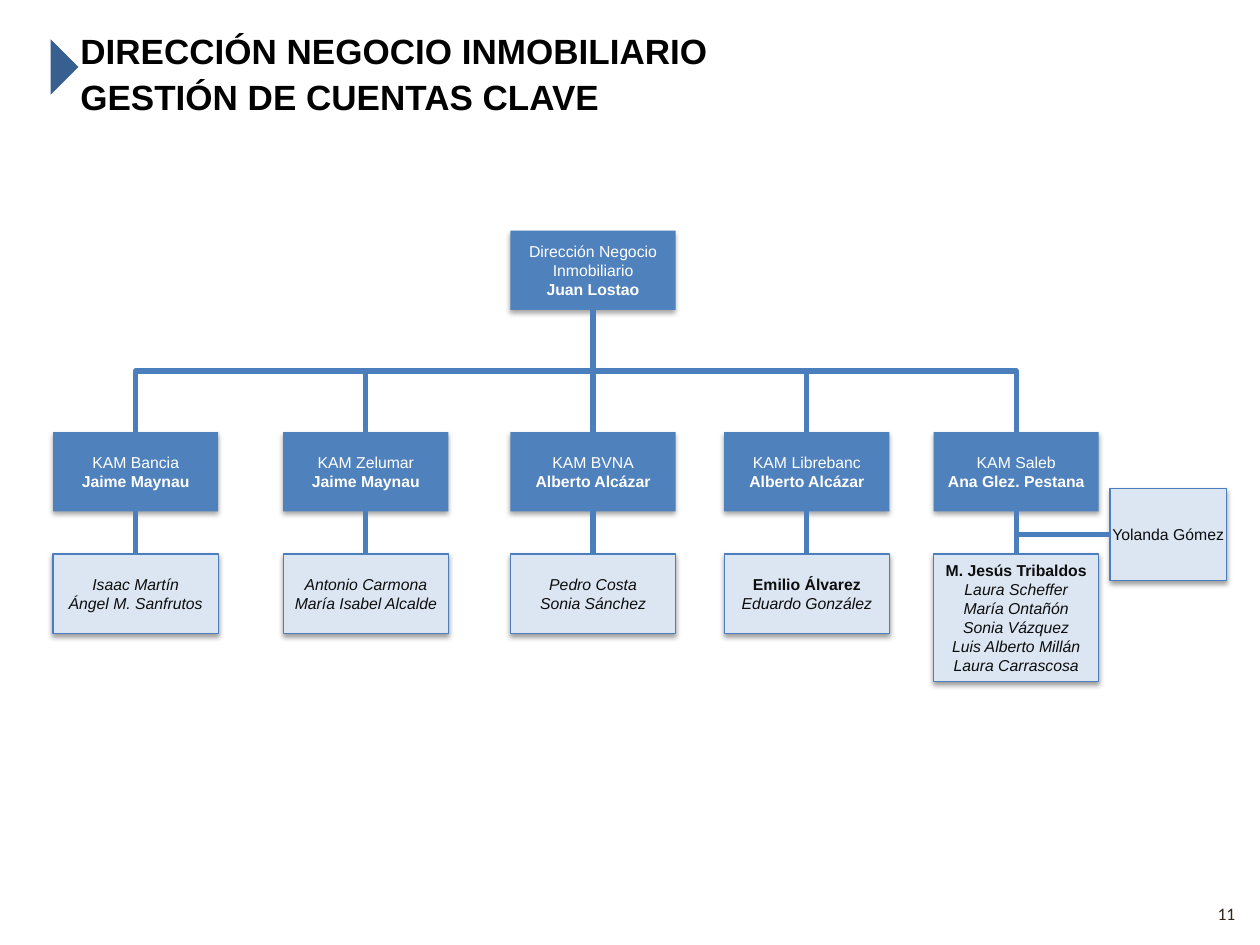
from lxml import etree
from pptx import Presentation
from pptx import util as u
from pptx.dml.color import RGBColor
from pptx.enum import shapes, text
from pptx.oxml import ns

BLUE = RGBColor(0x4F, 0x81, 0xBD)
LINE_BLUE = RGBColor(0x4B, 0x7E, 0xBC)
PALE_BLUE = RGBColor(0xDC, 0xE6, 0xF2)
DARK_BLUE = RGBColor(0x37, 0x60, 0x91)
WHITE = RGBColor(0xFF, 0xFF, 0xFF)
BLACK = RGBColor(0, 0, 0)
NEAR_BLACK = RGBColor(0x0D, 0x0D, 0x0D)
BROWN = RGBColor(0x35, 0x26, 0x1A)

BOX_WIDTH, BOX_HEIGHT = 3.33, 1.6
DIRECTOR_TOP, MANAGER_TOP, TEAM_TOP = 4.65, 8.71, 11.17
PLAIN, BOLD, ITALIC = "plain", "bold", "italic"

BRANCHES = [
    (1.07, "KAM Bancia", "Jaime Maynau", BOX_HEIGHT,
     [("Isaac Martín", ITALIC), ("Ángel M. Sanfrutos", ITALIC)]),
    (5.71, "KAM Zelumar", "Jaime Maynau", BOX_HEIGHT,
     [("Antonio Carmona", ITALIC), ("María Isabel Alcalde", ITALIC)]),
    (10.29, "KAM BVNA", "Alberto Alcázar", BOX_HEIGHT,
     [("Pedro Costa", ITALIC), ("Sonia Sánchez", ITALIC)]),
    (14.6, "KAM Librebanc", "Alberto Alcázar", BOX_HEIGHT,
     [("Emilio Álvarez", BOLD), ("Eduardo González", ITALIC)]),
    (18.82, "KAM Saleb", "Ana Glez. Pestana", 2.57,
     [("M. Jesús Tribaldos", BOLD), ("Laura Scheffer", ITALIC),
      ("María Ontañón", ITALIC), ("Sonia Vázquez", ITALIC),
      ("Luis Alberto Millán", ITALIC), ("Laura Carrascosa", ITALIC)]),
]


def add_run(paragraph, content, size, color, style=PLAIN, font="Arial"):
    """Add one formatted run to a paragraph."""
    run = paragraph.add_run()
    run.text = content
    run.font.name = font
    run.font.size = u.Pt(size)
    run.font.color.rgb = color
    run.font.bold = style == BOLD
    run.font.italic = style == ITALIC


def add_text_box(slide, left, top, width, height):
    """Add a wrapping, vertically centred text box and return its first paragraph."""
    shape = slide.shapes.add_textbox(u.Cm(left), u.Cm(top), u.Cm(width), u.Cm(height))
    frame = shape.text_frame
    frame.word_wrap = True
    frame.vertical_anchor = text.MSO_ANCHOR.MIDDLE
    return frame.paragraphs[0]


def add_shadow(shape, opacity):
    """Give a shape a soft shadow that falls straight down."""
    shape.shadow.inherit = False
    effects = shape._element.spPr.find(ns.qn("a:effectLst"))
    shadow = etree.SubElement(
        effects, ns.qn("a:outerShdw"), blurRad=str(u.Pt(3.1)),
        dist=str(u.Pt(1.7)), dir="5400000", rotWithShape="0")
    color = etree.SubElement(shadow, ns.qn("a:srgbClr"), val="000000")
    etree.SubElement(color, ns.qn("a:alpha"), val=str(opacity * 1000))


def add_box(slide, left, top, width, height, lines, leader=False):
    """Add a box of the chart holding one centred paragraph per line."""
    shape = slide.shapes.add_shape(
        shapes.MSO_SHAPE.RECTANGLE, u.Cm(left), u.Cm(top), u.Cm(width), u.Cm(height))
    shape.fill.solid()
    shape.fill.fore_color.rgb = BLUE if leader else PALE_BLUE
    if leader:
        shape.line.fill.background()
    else:
        shape.line.color.rgb = LINE_BLUE
        shape.line.width = u.Pt(0.75)
    add_shadow(shape, 35 if leader else 38)
    frame = shape.text_frame
    frame.word_wrap = True
    frame.vertical_anchor = text.MSO_ANCHOR.MIDDLE
    frame.margin_left = frame.margin_right = u.Cm(0.1 if leader else 0)
    for index, (content, style) in enumerate(lines):
        paragraph = frame.add_paragraph() if index else frame.paragraphs[0]
        paragraph.alignment = text.PP_ALIGN.CENTER
        add_run(paragraph, content, 9, WHITE if leader else NEAR_BLACK, style)
    return shape


def add_line(slide, kind, start_x, start_y, end_x, end_y):
    """Add a thick blue connector without a shadow."""
    connector = slide.shapes.add_connector(kind, start_x, start_y, end_x, end_y)
    connector.line.color.rgb = LINE_BLUE
    connector.line.width = u.Pt(3)
    etree.SubElement(connector._element.spPr, ns.qn("a:effectLst"))
    return connector


def join_down(slide, upper, lower):
    """Join the bottom of one box to the top of another, with an elbow if needed."""
    start_x, end_x = (box.left + box.width // 2 for box in (upper, lower))
    start_y, end_y = upper.top + upper.height, lower.top
    if start_x == end_x:
        connector = add_line(slide, shapes.MSO_CONNECTOR.STRAIGHT,
                             start_x, start_y, end_x, end_y)
        connector.begin_connect(upper, 2)
        connector.end_connect(lower, 0)
        return
    center_x, center_y = (start_x + end_x) // 2, (start_y + end_y) // 2
    half_drop, half_span = (end_y - start_y) // 2, abs(end_x - start_x) // 2
    side = 1 if end_x < start_x else -1
    connector = add_line(
        slide, shapes.MSO_CONNECTOR.ELBOW,
        center_x - side * half_drop, center_y - half_span,
        center_x + side * half_drop, center_y + half_span)
    connector._element.spPr.xfrm.set("rot", "5400000" if side > 0 else "16200000")


def add_heading(slide, left, top, width, height):
    """Add the arrow marker and the two-line title."""
    marker = slide.shapes.add_shape(
        shapes.MSO_SHAPE.ISOSCELES_TRIANGLE,
        u.Cm(left - 0.63), u.Cm(top + 0.66), u.Cm(1.12), u.Cm(0.56))
    marker.rotation = 90
    marker.shadow.inherit = False
    marker.fill.solid()
    marker.fill.fore_color.rgb = DARK_BLUE
    marker.line.fill.background()
    paragraph = add_text_box(slide, left, top, width, height)
    paragraph.line_spacing = 1.1
    add_run(paragraph, "DIRECCIÓN NEGOCIO INMOBILIARIO", 20, BLACK, BOLD)
    paragraph.add_line_break()
    add_run(paragraph, "GESTIÓN DE CUENTAS CLAVE", 20, BLACK, BOLD)


def add_branch(slide, director, left, account, manager_name, team_height, team_lines):
    """Add an account manager with the team below and return the manager box."""
    manager = add_box(slide, left, MANAGER_TOP, BOX_WIDTH, BOX_HEIGHT,
                      [(account, PLAIN), (manager_name, BOLD)], leader=True)
    team = add_box(slide, left, TEAM_TOP, BOX_WIDTH, team_height, team_lines)
    join_down(slide, director, manager)
    join_down(slide, manager, team)
    return manager


def add_assistant(slide, manager, left, top, width, height):
    """Add the side box and join it to the line below its manager."""
    assistant = add_box(slide, left, top, width, height, [("Yolanda Gómez", PLAIN)])
    middle = assistant.top + assistant.height // 2
    connector = add_line(slide, shapes.MSO_CONNECTOR.STRAIGHT,
                         manager.left + manager.width // 2, middle,
                         assistant.left, middle)
    connector.end_connect(assistant, 1)


def add_page_number(slide, left, top, width, height):
    """Add the page number at the right of its box."""
    paragraph = add_text_box(slide, left, top, width, height)
    paragraph.alignment = text.PP_ALIGN.RIGHT
    add_run(paragraph, "11", 10, BROWN, font="Calibri")


def main():
    """Build the organisation chart slide."""
    presentation = Presentation()
    presentation.slide_width, presentation.slide_height = u.Cm(25.4), u.Cm(19.05)
    slide = presentation.slides.add_slide(presentation.slide_layouts[6])
    add_heading(slide, 1.37, 0.41, 22.35, 2.06)
    director = add_box(
        slide, BRANCHES[2][0], DIRECTOR_TOP, BOX_WIDTH, BOX_HEIGHT,
        [("Dirección Negocio Inmobiliario", PLAIN), ("Juan Lostao", BOLD)], leader=True)
    managers = [add_branch(slide, director, *branch) for branch in BRANCHES]
    add_assistant(slide, managers[-1], 22.38, 9.85, 2.34, 1.85)
    add_page_number(slide, 19.23, 17.91, 5.92, 1.02)
    presentation.save("out.pptx")


if __name__ == "__main__":
    main()
